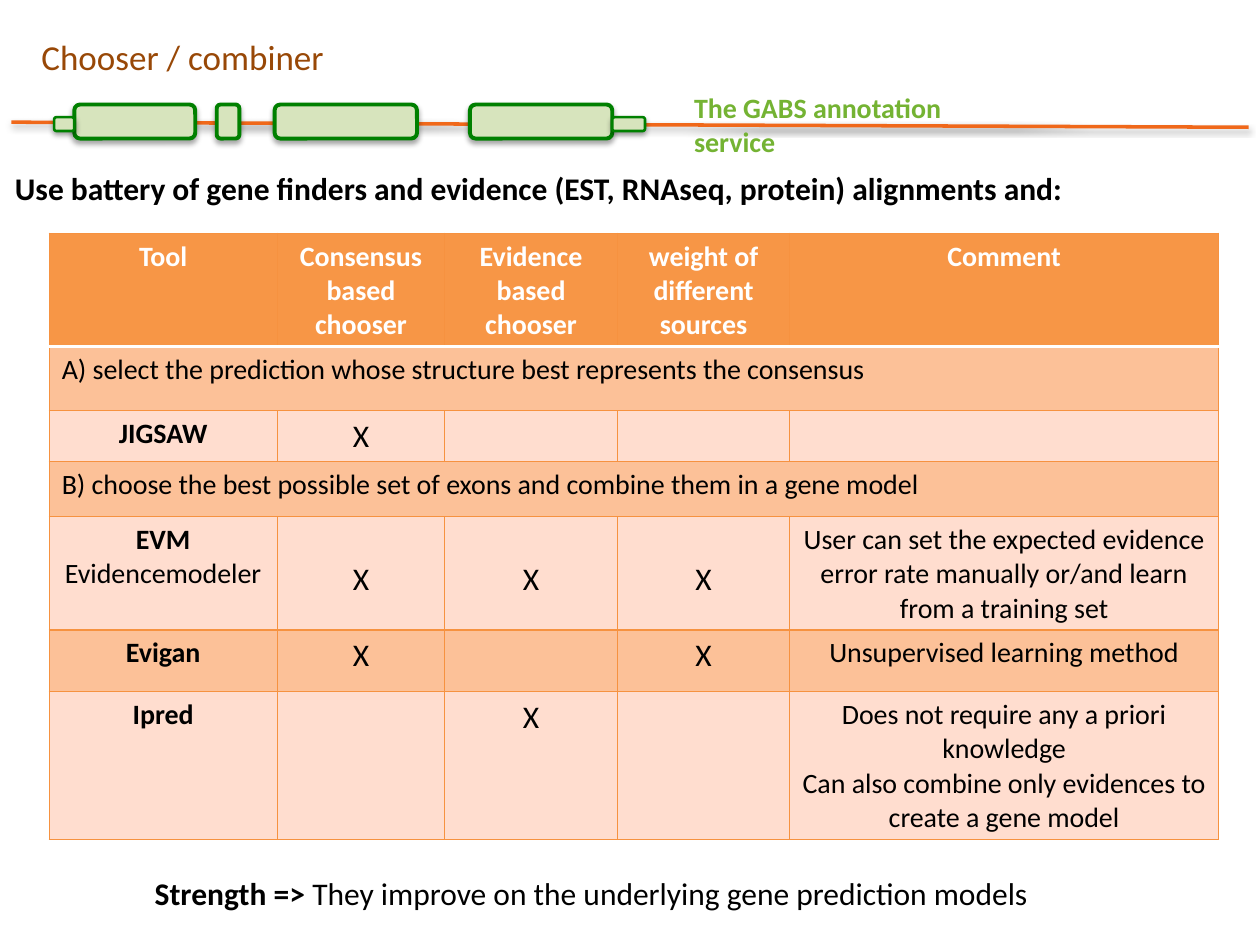
from lxml import etree
from pptx import Presentation
from pptx import util as u
from pptx.dml.color import RGBColor
from pptx.enum import shapes, text
from pptx.oxml import parse_xml
from pptx.oxml.ns import nsdecls, qn

Inches, Pt = u.Inches, u.Pt
COLORS = {
    "line": "F0681A", "exon": "D7E4BD", "exon_edge": "008000",
    "service": "74B333", "title": "984807", "black": "000000",
    "white": "FFFFFF", "header": "F79646", "band": "FCC198",
    "light": "FFDDCF", "border": "F69240",
}


def rgb(name):
    return RGBColor.from_string(COLORS[name])


def add_shadow(shape, opacity, distance):
    shape._element.spPr.append(parse_xml(
        f'<a:effectLst {nsdecls("a")}><a:outerShdw blurRad="{Pt(3.1)}" '
        f'dist="{Pt(distance)}" dir="5400000" rotWithShape="0">'
        f'<a:srgbClr val="{COLORS["black"]}"><a:alpha val="{opacity * 1000}"/>'
        '</a:srgbClr></a:outerShdw></a:effectLst>'))


presentation = Presentation()
presentation.slide_width, presentation.slide_height = Inches(10), Inches(7.5)
slide = presentation.slides.add_slide(presentation.slide_layouts[6])

# Gene model: a line with exons and narrow end pieces
gene_line = slide.shapes.add_connector(
    shapes.MSO_CONNECTOR.STRAIGHT,
    Inches(0.09), Inches(0.97), Inches(9.91), Inches(1.01))
gene_line.line.color.rgb = rgb("line")
gene_line.line.width = Pt(2)
add_shadow(gene_line, 38, 1.6)

EXON = (0.83, 0.27, 2.25)  # top, height, line width
END_PIECE = (0.93, 0.11, 1.5)
gene_parts = [
    (0.59, 0.96, EXON), (1.72, 0.18, EXON), (2.18, 1.13, EXON),
    (3.73, 1.13, EXON), (4.86, 0.26, END_PIECE), (0.43, 0.16, END_PIECE),
]
for left, width, (top, height, line_width) in gene_parts:
    part = slide.shapes.add_shape(
        shapes.MSO_SHAPE.ROUNDED_RECTANGLE,
        Inches(left), Inches(top), Inches(width), Inches(height))
    part.fill.solid()
    part.fill.fore_color.rgb = rgb("exon")
    part.line.color.rgb = rgb("exon_edge")
    part.line.width = Pt(line_width)
    add_shadow(part, 35, 1.8)

# Text boxes: left, top, width, height, wrap, size, color, runs as (text, bold)
text_boxes = [
    (5.41, 0.67, 2.82, 0.37, False, 16, "service",
     [("The GABS annotation service", True)]),
    (0.02, 1.29, 8.75, 0.71, True, 18, "black",
     [("Use battery of gene finders and evidence (EST, RNAseq, protein) "
       "alignments and:", True)]),
    (1.13, 6.89, 7.34, 0.4, True, 18, "black",
     [("Strength => ", True),
      ("They improve on the underlying gene prediction models", False)]),
    (0.23, 0.23, 2.52, 0.44, False, 20, "title",
     [("Chooser / combiner", False)]),
]
for left, top, width, height, wrap, size, color, runs in text_boxes:
    box = slide.shapes.add_textbox(
        Inches(left), Inches(top), Inches(width), Inches(height))
    box.text_frame.word_wrap = wrap
    paragraph = box.text_frame.paragraphs[0]
    for words, bold in runs:
        run = paragraph.add_run()
        run.text = words
        run.font.name = "Calibri"
        run.font.size = Pt(size)
        run.font.bold = bold
        run.font.color.rgb = rgb(color)

# Table of tools: a row with one entry spans all columns
column_widths = [1.81, 1.33, 1.37, 1.37, 3.4]
table_rows = [
    (0.9, "header", ["Tool", "Consensus based chooser", "Evidence based chooser",
                     "weight of different sources", "Comment"]),
    (0.51, "band", ["A) select the prediction whose structure best represents "
                    "the consensus"]),
    (0.4, "light", ["JIGSAW", "X", "", "", ""]),
    (0.44, "band", ["B) choose the best possible set of exons and combine "
                    "them in a gene model"]),
    (0.9, "light", ["EVM\nEvidencemodeler", "X", "X", "X",
                    "User can set the expected evidence error rate manually "
                    "or/and learn from a training set"]),
    (0.49, "band", ["Evigan", "X", "", "X", "Unsupervised learning method"]),
    (1.17, "light", ["Ipred", "", "X", "",
                     "Does not require any a priori knowledge\n"
                     "Can also combine only evidences to create a gene model"]),
]
table = slide.shapes.add_table(
    len(table_rows), len(column_widths), Inches(0.39), Inches(1.85),
    Inches(sum(column_widths)), Inches(sum(row[0] for row in table_rows))).table
for column, width in zip(table.columns, column_widths):
    column.width = Inches(width)

for row_index, (height, fill, entries) in enumerate(table_rows):
    table.rows[row_index].height = Inches(height)
    spans_row = len(entries) == 1
    if spans_row:
        table.cell(row_index, 0).merge(table.cell(row_index, len(column_widths) - 1))
    for column_index in range(len(column_widths)):
        cell = table.cell(row_index, column_index)
        properties = cell._tc.get_or_add_tcPr()
        for side in ("L", "R", "T", "B"):
            below_header = (row_index, side) in ((0, "B"), (1, "T"))
            border = etree.SubElement(properties, qn(f"a:ln{side}"))
            border.set("w", str(Pt(2 if below_header else 0.75)))
            border_fill = etree.SubElement(border, qn("a:solidFill"))
            etree.SubElement(border_fill, qn("a:srgbClr")).set(
                "val", COLORS["white" if below_header else "border"])
        cell.fill.solid()
        cell.fill.fore_color.rgb = rgb(fill)
        if column_index >= len(entries) or not entries[column_index]:
            continue

        entry = entries[column_index]
        cell.text_frame.text = entry
        if entry == "X" and "\n" in entries[0]:
            cell.margin_top = Inches(0.35)  # level with the second line
        for line_index, paragraph in enumerate(cell.text_frame.paragraphs):
            if not spans_row:
                paragraph.alignment = text.PP_ALIGN.CENTER
            font = paragraph.runs[0].font
            font.name = "Calibri"
            font.size = Pt(18 if entry == "X" else 16)
            tool_name = column_index == 0 and line_index == 0 and not spans_row
            font.bold = fill == "header" or tool_name
            font.color.rgb = rgb("white" if fill == "header" else "black")

presentation.save("out.pptx")
